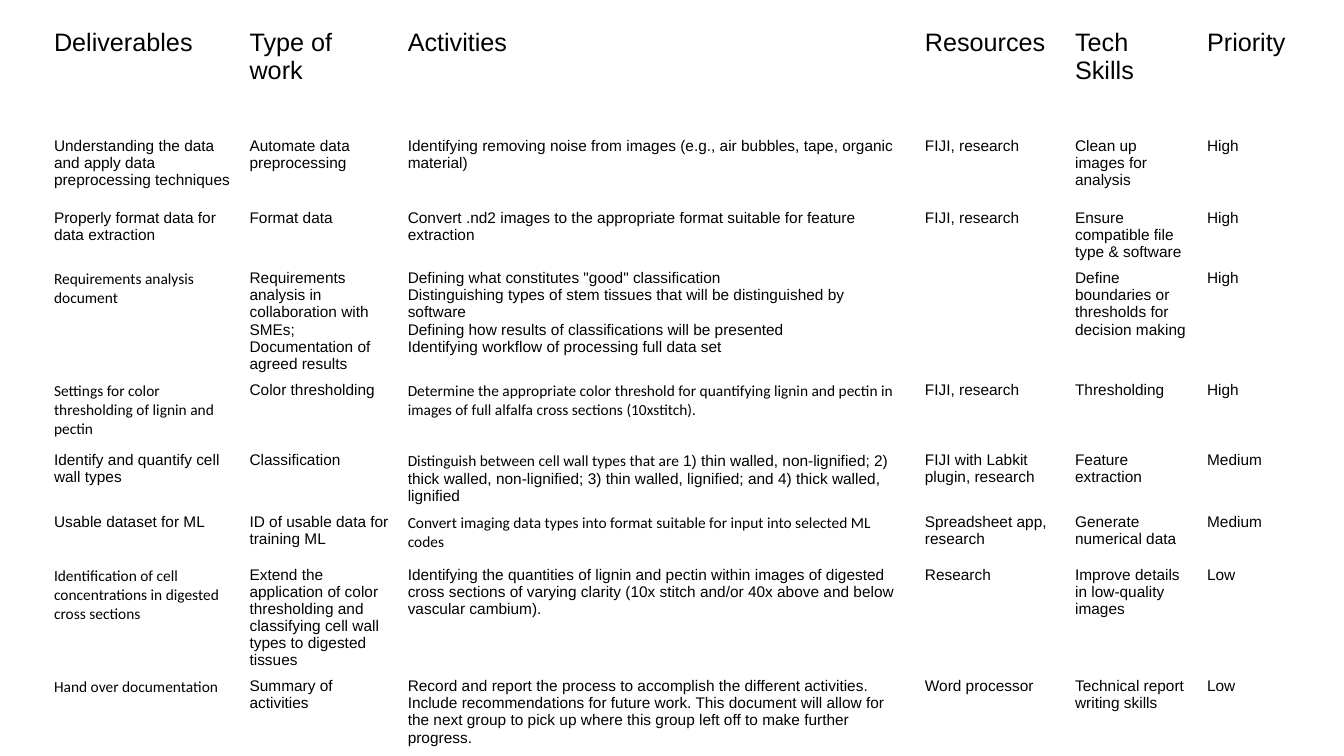
from pptx import Presentation
from pptx.dml.color import RGBColor
from pptx.util import Pt

BODY, ALT = "Arial", "Calibri"

# Content: a cell is a string, one (text, font) run, or a list of paragraphs;
# a paragraph is a string, a run, or a list of runs
HEADERS = ["Deliverables", "Type of work", "Activities", "Resources", "Tech Skills", "Priority"]
ROWS = [
    ["Understanding the data and apply data preprocessing techniques",
     "Automate data preprocessing",
     "Identifying removing noise from images (e.g., air bubbles, tape, organic material)",
     "FIJI, research", "Clean up images for analysis", "High"],
    ["Properly format data for data extraction",
     "Format data",
     "Convert .nd2 images to the appropriate format suitable for feature extraction",
     "FIJI, research", "Ensure compatible file type & software", "High"],
    [("Requirements analysis document", ALT),
     "Requirements analysis in collaboration with SMEs; Documentation of agreed results",
     ['Defining what constitutes "good" classification',
      "Distinguishing types of stem tissues that will be distinguished by software",
      "Defining how results of classifications will be presented",
      "Identifying workflow of processing full data set"],
     "", "Define boundaries or thresholds for decision making", "High"],
    [("Settings for color thresholding of lignin and pectin", ALT),
     "Color thresholding",
     ("Determine the appropriate color threshold for quantifying lignin and pectin in "
      "images of full alfalfa cross sections (10xstitch).", ALT),
     "FIJI, research", "Thresholding", "High"],
    ["Identify and quantify cell wall types",
     "Classification",
     [[("Distinguish between cell wall types that are ", ALT),
       "1) thin walled, non-lignified; 2) thick walled, non-lignified; "
       "3) thin walled, lignified; and 4) thick walled, lignified"]],
     "FIJI with Labkit plugin, research", "Feature extraction", "Medium"],
    ["Usable dataset for ML",
     "ID of usable data for training ML",
     ("Convert imaging data types into format suitable for input into selected ML codes", ALT),
     "Spreadsheet app, research", "Generate numerical data", "Medium"],
    [("Identification of cell concentrations in digested cross sections", ALT),
     "Extend the application of color thresholding and classifying cell wall types "
     "to digested tissues",
     "Identifying the quantities of lignin and pectin within images of digested cross sections "
     "of varying clarity (10x stitch and/or 40x above and below vascular cambium).",
     "Research", "Improve details in low-quality images", "Low"],
    [("Hand over documentation", ALT),
     "Summary of activities",
     "Record and report the process to accomplish the different activities. Include "
     "recommendations for future work. This document will allow for the next group to pick up "
     "where this group left off to make further progress.",
     "Word processor", "Technical report writing skills", "Low"],
]

# Layout in points
LEFT, TOP = 32.4, 17.1
COL_WIDTHS = [139.7, 113, 369.4, 107.3, 94.3, 72.7]
ROW_HEIGHTS = [77.8, 51.8, 42.5, 49.7, 50.4, 37.4, 37.4, 41.8, 41.8]
MARGINS = {"margin_left": 6.2, "margin_right": 6.2, "margin_top": 3.1, "margin_bottom": 3.1}


def color(value):
    return RGBColor.from_string(value)


def as_list(value):
    return value if isinstance(value, list) else [value]


def fill_cell(cell, content, size):
    cell.fill.background()
    for name, value in MARGINS.items():
        setattr(cell, name, Pt(value))
    tf = cell.text_frame
    for i, paragraph in enumerate(as_list(content)):
        p = tf.add_paragraph() if i else tf.paragraphs[0]
        p.font.size = Pt(size)
        for run in as_list(paragraph):
            text, font = run if isinstance(run, tuple) else (run, BODY)
            if not text:
                continue
            r = p.add_run()
            r.text = text
            r.font.color.rgb = color("000000")
            for name, value in {"name": font, "size": Pt(size), "bold": False}.items():
                setattr(r.font, name, value)


prs = Presentation()
prs.slide_width, prs.slide_height = Pt(960), Pt(540)
s = prs.slides.add_slide(prs.slide_layouts[6])

# Plain table without banding
table = s.shapes.add_table(len(ROW_HEIGHTS), len(COL_WIDTHS), Pt(LEFT), Pt(TOP),
                           Pt(sum(COL_WIDTHS)), Pt(sum(ROW_HEIGHTS))).table
for name in ("first_row", "horz_banding"):
    setattr(table, name, False)
for col, width in zip(table.columns, COL_WIDTHS):
    col.width = Pt(width)
for row, height in zip(table.rows, ROW_HEIGHTS):
    row.height = Pt(height)

# Header row, then body rows
for i, row in enumerate([HEADERS] + ROWS):
    for j, content in enumerate(row):
        fill_cell(table.cell(i, j), content, 11 if i else 18)

prs.save("out.pptx")
